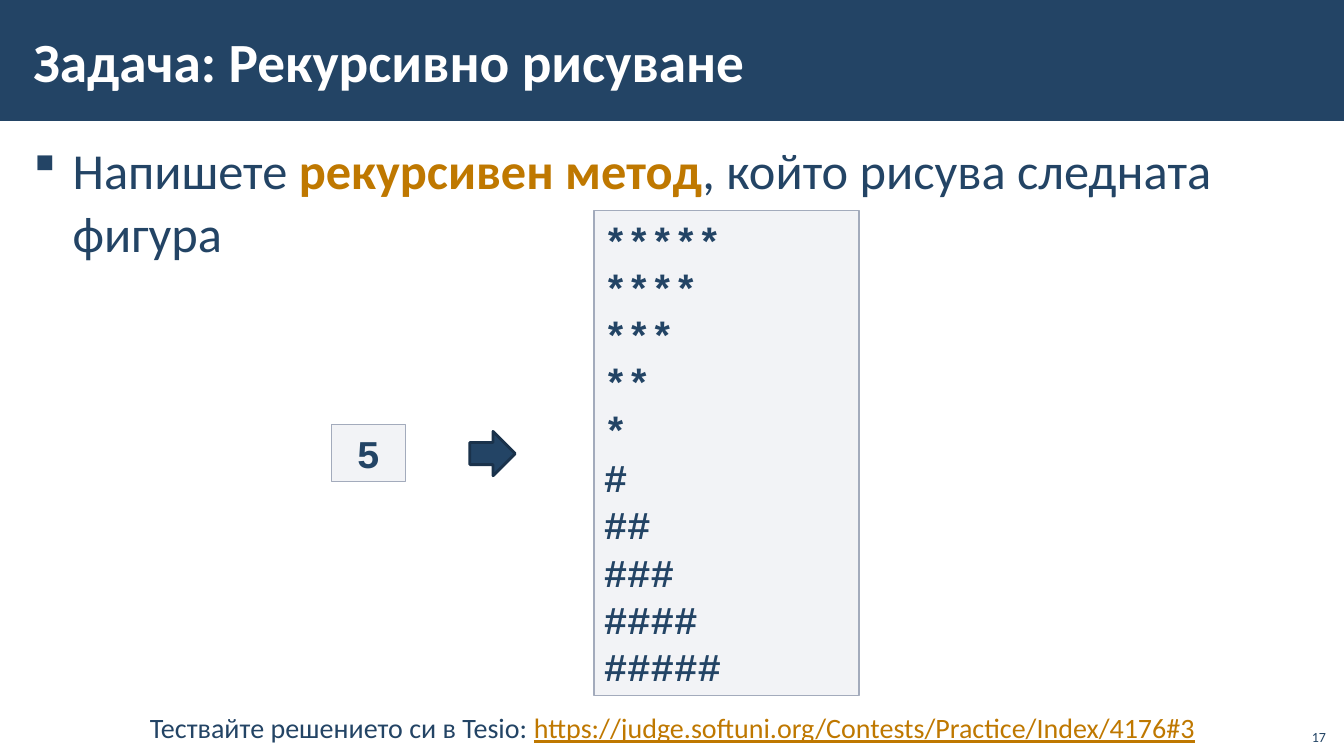
from lxml import etree
from pptx import Presentation
from pptx.dml.color import RGBColor
from pptx.enum import shapes, text
from pptx.oxml import ns
from pptx.util import Inches, Pt

# Content
TITLE = "Задача: Рекурсивно рисуване"
TASK = [("Напишете\u00a0", "navy", True), ("рекурсивен метод", "gold", True),
        (", който рисува следната фигура", "navy", False)]
TASK = [(words, color, {"bold": color == "gold"}) for words, color, _ in TASK]
JUDGE = [("Тествайте\u00a0решението си\u00a0в Tesio: ", "navy", {}),
         ("https://judge.softuni.org/Contests/Practice/Index/4176#3", "gold", {"underline": True})]
PAGE_NUMBER = "17"
SIZE = 5
FIGURE = ["*" * n for n in range(SIZE, 0, -1)] + ["#" * n for n in range(1, SIZE + 1)]

COLORS = {"navy": "234465", "edge": "1A324B", "gold": "BF7800", "white": "FFFFFF",
          "panel": "C2C7D2", "border": "A3ABBC"}
RECTANGLE = shapes.MSO_SHAPE.RECTANGLE
ALIGN = text.PP_ALIGN


def rgb(name):
    return RGBColor.from_string(COLORS[name])


def add_run(paragraph, words, color, size, font="Calibri", bold=None, underline=None):
    run = paragraph.add_run()
    run.text = words
    run.font.name, run.font.size = font, Pt(size)
    run.font.bold, run.font.underline = bold, underline
    run.font.color.rgb = rgb(color)


def add_box(kind, place, fill, line=None, width=1):
    shape = slide.shapes.add_shape(kind, *map(Inches, place))
    shape.shadow.inherit = False
    shape.fill.solid()
    shape.fill.fore_color.rgb = rgb(fill)
    if line:
        shape.line.color.rgb = rgb(line)
        shape.line.width = Pt(width)
    else:
        shape.line.fill.background()
    return shape


def add_code(place, lines, align):
    shape = add_box(RECTANGLE, place, "panel", "border")
    color = shape.fill._xPr.find(".//" + ns.qn("a:srgbClr"))
    etree.SubElement(color, ns.qn("a:alpha"), val="20000")
    frame = shape.text_frame
    frame.word_wrap = True
    for index, line in enumerate(lines):
        paragraph = frame.add_paragraph() if index else frame.paragraphs[0]
        paragraph.alignment = align
        paragraph.line_spacing = Pt(33.8)
        add_run(paragraph, line, "navy", 28, "Courier New", bold=True)


def add_text(place, runs, size, align=ALIGN.LEFT):
    box = slide.shapes.add_textbox(*map(Inches, place))
    box.text_frame.word_wrap = True
    paragraph = box.text_frame.paragraphs[0]
    paragraph.alignment = align
    for words, color, style in runs:
        add_run(paragraph, words, color, size, **style)
    return box.text_frame


def set_insets(frame):
    frame.margin_left = frame.margin_right = Inches(0.12)
    frame.margin_top = frame.margin_bottom = Inches(0.04)


presentation = Presentation()
presentation.slide_width, presentation.slide_height = Inches(13.33), Inches(7.5)
slide = presentation.slides.add_slide(presentation.slide_layouts[5])

# Header band, behind the title
band = add_box(RECTANGLE, (0, 0, 13.33, 1.2), "navy")
slide.shapes._spTree.insert(2, band._element)

# Title
title = slide.shapes.title
title.left, title.top, title.width, title.height = map(Inches, (0.21, 0.11, 11.23, 0.97))
frame = title.text_frame
set_insets(frame)
frame.word_wrap = True
frame.vertical_anchor = text.MSO_ANCHOR.MIDDLE
frame.paragraphs[0].alignment = ALIGN.LEFT
add_run(frame.paragraphs[0], TITLE, "white", 39.5, bold=True)

# Task with a square bullet
frame = add_text((0.21, 1.31, 12.92, 6.05), TASK, 36)
set_insets(frame)
paragraph = frame.paragraphs[0]
properties = paragraph._p.get_or_add_pPr()
properties.set("marL", str(Inches(0.39)))
properties.set("indent", str(-Inches(0.39)))
etree.SubElement(properties, ns.qn("a:buFont"), typeface="Wingdings")
etree.SubElement(properties, ns.qn("a:buChar"), char="§")
paragraph.line_spacing = 1.05

# Input, arrow and drawn figure
add_code((3.29, 4.21, 0.73, 0.57), [str(SIZE)], ALIGN.CENTER)
add_box(shapes.MSO_SHAPE.RIGHT_ARROW, (4.66, 4.28, 0.45, 0.44), "navy", "edge", 2)
add_code((5.89, 2.09, 2.63, 4.81), FIGURE, ALIGN.LEFT)

# Footer
add_text((0.88, 7, 11.58, 0.44), JUDGE, 20, ALIGN.CENTER)
frame = add_text((12.85, 7.12, 0.4, 0.32), [(PAGE_NUMBER, "navy", {})], 10, ALIGN.RIGHT)
frame.vertical_anchor = text.MSO_ANCHOR.BOTTOM

presentation.save("out.pptx")
